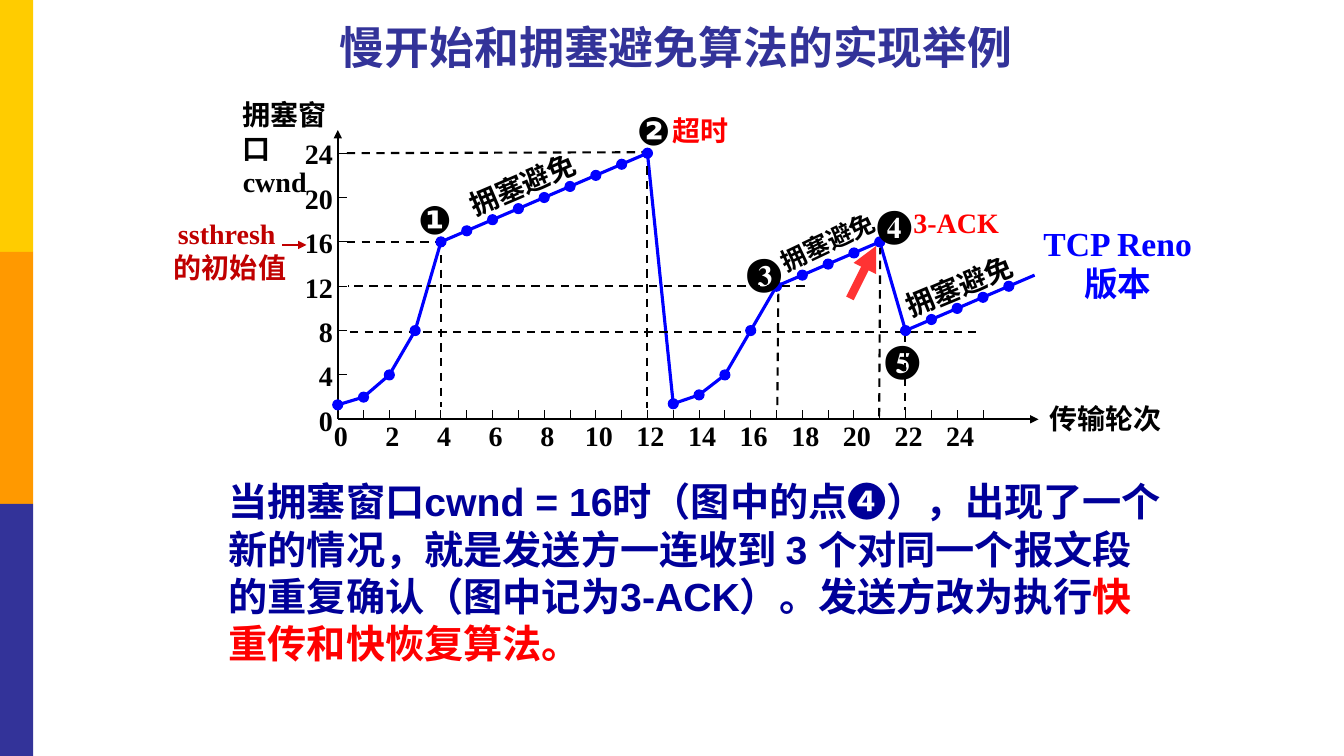
from lxml import etree
from pptx import Presentation
from pptx.dml.color import RGBColor
from pptx.enum.dml import MSO_LINE
from pptx.enum.shapes import MSO_CONNECTOR, MSO_SHAPE
from pptx.enum.text import MSO_ANCHOR, MSO_AUTO_SIZE, PP_ALIGN
from pptx.oxml.ns import qn
from pptx.util import Inches, Pt

STRAIGHT = MSO_CONNECTOR.STRAIGHT
RECTANGLE, OVAL = MSO_SHAPE.RECTANGLE, MSO_SHAPE.OVAL
DASH = MSO_LINE.DASH
TOP, MIDDLE = MSO_ANCHOR.TOP, MSO_ANCHOR.MIDDLE
LEFT, CENTER, RIGHT = PP_ALIGN.LEFT, PP_ALIGN.CENTER, PP_ALIGN.RIGHT
NO_AUTOFIT = MSO_AUTO_SIZE.NONE
SERIF = "Times New Roman"
BLACK, BLUE, RED, DARK_RED = "000000", "0000FF", "FF0000", "C00000"

TITLE = "慢开始和拥塞避免算法的实现举例"
SIDEBAR = ["FFCC00", "FF9900", "333399"]
CWND = [1.3, 2, 4, 8, *range(16, 25), 1.4, 2.2, 4, 8, *range(12, 17), *range(8, 14)]
LAST_DOT = 26
LAST_TICK = 25
ROUND_LABELS = range(0, 25, 2)
CWND_LABELS = range(0, 25, 4)
ORIGIN_X, ORIGIN_Y = 3.35, 4.16
ROUND_STEP, CWND_STEP = 0.256, 0.11
DOT, TICK = 0.1, 0.09

GUIDES = [
    ((3.44, 2.4), (4.37, 2.4)),
    ((3.44, 1.52), (6.43, 1.51)),
    ((7.98, 2.84), (3.45, 2.84)),
    ((3.47, 3.29), (9.68, 3.29)),
    ((8.98, 3.31), (8.98, 4.07)),
    ((7.71, 4.02), (7.72, 2.88)),
    ((8.72, 4.13), (8.73, 2.46)),
    ((6.42, 1.65), (6.42, 4.05)),
    ((4.37, 2.53), (4.37, 4.04)),
]
CAPTIONS = [
    ("超时", (6.57, 1.08, 1.27, 0.44), 20, RED, LEFT, 0),
    ("传输轮次", (10.31, 3.93, 1.33, 0.44), 20, BLACK, LEFT, 0),
    ("拥塞窗口\ncwnd", (2.31, 0.92, 1.3, 0.77), 20, BLACK, LEFT, 0),
    ("3-ACK", (8.96, 1.99, 1.29, 0.44), 20, RED, LEFT, 0),
    ("TCP Reno\n版本", (10.19, 2.16, 1.79, 0.91), 24, BLUE, CENTER, 0),
    ("ssthresh\n 的初始值", (1.55, 2.1, 1.4, 0.77), 20, DARK_RED, CENTER, 0),
    ("拥塞避免", (8.85, 2.62, 1.33, 0.44), 20, BLACK, CENTER, 337.4),
    ("拥塞避免", (7.6, 2.2, 1.22, 0.4), 18, BLACK, CENTER, 334.5),
    ("拥塞避免", (4.52, 1.61, 1.33, 0.44), 20, BLACK, CENTER, 336.8),
]
MARKERS = [
    ("❶", (4.05, 1.97, 0.48, 0.4), "Arial"),
    ("❷", (6.22, 1.12, 0.4, 0.33), "Arial"),
    ("❸", (7.31, 2.4, 0.55, 0.57), SERIF),
    ("❹", (8.6, 1.93, 0.55, 0.57), SERIF),
    ("❺", (8.68, 3.27, 0.55, 0.57), SERIF),
]
EXPLANATION = [
    ("当拥塞窗口cwnd = 16时（图中的点❹），出现了一个新的情况，就是发送方一连收到 3 个"
     "对同一个报文段的重复确认（图中记为3-ACK）。发送方改为执行", "000099"),
    ("快重传和快恢复算法。", RED),
]


def color(value):
    return RGBColor.from_string(value)


def inches(values):
    return [Inches(value) for value in values]


def point(transfer_round, cwnd):
    return ORIGIN_X + transfer_round * ROUND_STEP, ORIGIN_Y - cwnd * CWND_STEP


def format_run(run, size, font, fill):
    run.font.size = Pt(size)
    run.font.name = font
    run.font.bold = True
    run.font.color.rgb = color(fill)


def add_text(text, box, size, fill=BLACK, align=LEFT, rotation=0, font=SERIF,
             anchor=TOP, wrap=False):
    shape = slide.shapes.add_textbox(*inches(box))
    shape.rotation = rotation
    frame = shape.text_frame
    frame.text = text
    frame.word_wrap = wrap
    frame.vertical_anchor = anchor
    for paragraph in frame.paragraphs:
        paragraph.alignment = align
        for run in paragraph.runs:
            format_run(run, size, font, fill)
    return frame


def add_line(start, end, fill=BLACK, width=1.5, dash=None, arrow=False, alpha=None):
    connector = slide.shapes.add_connector(STRAIGHT, *inches(start + end))
    line = connector.line
    line.color.rgb = color(fill)
    line.width = Pt(width)
    if dash:
        line.dash_style = dash
    properties = connector._element.spPr
    if alpha:
        etree.SubElement(properties.find(".//" + qn("a:srgbClr")), qn("a:alpha"), val=str(alpha * 1000))
    if arrow:
        etree.SubElement(properties.find(qn("a:ln")), qn("a:tailEnd"), type="triangle")
    etree.SubElement(properties, qn("a:effectLst"))


def add_filled(kind, box, fill):
    shape = slide.shapes.add_shape(kind, *inches(box))
    shape.shadow.inherit = False
    shape.fill.solid()
    shape.fill.fore_color.rgb = color(fill)
    shape.line.fill.background()
    return shape


presentation = Presentation()
presentation.slide_width, presentation.slide_height = Inches(13.33), Inches(7.5)
slide = presentation.slides.add_slide(presentation.slide_layouts[5])

for index, fill in enumerate(SIDEBAR):
    add_filled(RECTANGLE, (0, index * 2.5, 0.33, 2.5), fill)

title = slide.shapes.title
title.left, title.top, title.width, title.height = inches((1.71, 0.17, 10, 0.58))
title.text_frame.text = TITLE
title.text_frame.auto_size = NO_AUTOFIT
title.text_frame.vertical_anchor = MIDDLE
title.text_frame.paragraphs[0].alignment = CENTER
format_run(title.text_frame.paragraphs[0].runs[0], 32, "Roboto", "333399")

add_line((ORIGIN_X, ORIGIN_Y), (10.3, ORIGIN_Y), arrow=True)
add_line((ORIGIN_X, ORIGIN_Y), (ORIGIN_X, 1.29), arrow=True)
for transfer_round in range(1, LAST_TICK + 1):
    x, y = point(transfer_round, 0)
    add_line((x, y - TICK), (x, y), width=0.75)
for transfer_round in ROUND_LABELS:
    x, y = point(transfer_round, 0)
    add_text(str(transfer_round), (x - 0.21, 4.1, 0.48, 0.44), 20, align=CENTER)
for cwnd in CWND_LABELS:
    x, y = point(0, cwnd)
    if cwnd:
        add_line((x, y), (x + TICK, y), width=0.75)
    add_text(str(cwnd), (2.92, y - 0.21, 0.48, 0.44), 20, align=RIGHT)

points = [point(transfer_round, cwnd) for transfer_round, cwnd in enumerate(CWND)]
builder = slide.shapes.build_freeform(*inches(points[0]), scale=1.0)
builder.add_line_segments([inches(vertex) for vertex in points[1:]], close=False)
curve = builder.convert_to_shape()
curve.shadow.inherit = False
curve.fill.background()
curve.line.color.rgb = color(BLUE)
curve.line.width = Pt(2.25)

for start, end in GUIDES:
    add_line(start, end, dash=DASH)
for x, y in points[:LAST_DOT + 1]:
    dot = add_filled(OVAL, (x - DOT / 2, y - DOT / 2, DOT, DOT), BLUE)
    dot.line.color.rgb = color(BLUE)
    dot.line.width = Pt(0.75)

for caption in CAPTIONS:
    add_text(*caption)
for text, box, font in MARKERS:
    add_text(text, box, 28, font=font, anchor=MIDDLE)
add_line((2.8, 2.43), (3.04, 2.43), DARK_RED, arrow=True)
add_line((8.43, 2.96), (8.69, 2.44), RED, 6, arrow=True, alpha=80)

(first_text, first_fill), (second_text, second_fill) = EXPLANATION
frame = add_text(first_text, (2.17, 4.69, 9.47, 1.99), 28, first_fill, font="Arial", wrap=True)
run = frame.paragraphs[0].add_run()
run.text = second_text
format_run(run, 28, "Arial", second_fill)

presentation.save("out.pptx")
